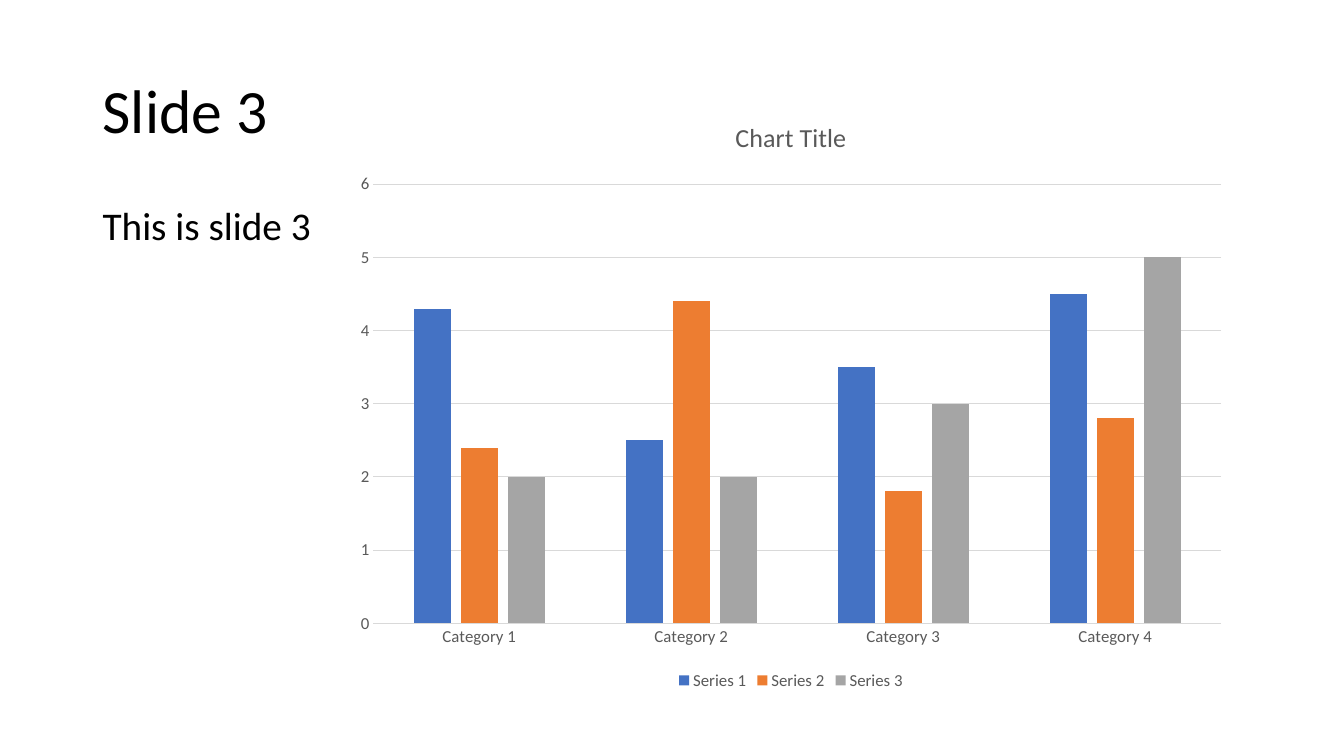
from pptx import Presentation
from pptx.chart.data import CategoryChartData
from pptx.dml.color import RGBColor
from pptx.enum import chart as ch, text
from pptx.util import Inches, Pt

FONT = "Calibri"
BLACK = RGBColor(0x00, 0x00, 0x00)
GRAY_TEXT = RGBColor(0x59, 0x59, 0x59)
GRAY_LINE = RGBColor(0xD9, 0xD9, 0xD9)
BLUE = RGBColor(0x44, 0x72, 0xC4)
ORANGE = RGBColor(0xED, 0x7D, 0x31)
GRAY = RGBColor(0xA5, 0xA5, 0xA5)

CATEGORIES = ["Category 1", "Category 2", "Category 3", "Category 4"]
SERIES = [
    ("Series 1", (4.3, 2.5, 3.5, 4.5), BLUE),
    ("Series 2", (2.4, 4.4, 1.8, 2.8), ORANGE),
    ("Series 3", (2, 2, 3, 5), GRAY),
]


def style_font(font, size, color):
    font.name = FONT
    font.size = Pt(size)
    font.bold = False
    font.color.rgb = color


def style_line(line):
    line.color.rgb = GRAY_LINE
    line.width = Pt(0.75)


def add_text(slide, box, content, size, anchor):
    sp = slide.shapes.add_textbox(*map(Inches, box))
    tf = sp.text_frame
    tf.word_wrap = True
    tf.vertical_anchor = anchor
    tf.text = content
    p = tf.paragraphs[0]
    p.line_spacing = 0.9
    style_font(p.runs[0].font, size, BLACK)


def add_column_chart(slide, box):
    data = CategoryChartData()
    data.categories = CATEGORIES
    for name, values, _ in SERIES:
        data.add_series(name, values)
    chart = slide.shapes.add_chart(
        ch.XL_CHART_TYPE.COLUMN_CLUSTERED, *map(Inches, box), data).chart
    style_font(chart.font, 10, BLACK)

    # Title and legend
    chart.has_title = True
    tf = chart.chart_title.text_frame
    tf.text = "Chart Title"
    style_font(tf.paragraphs[0].runs[0].font, 18.6, GRAY_TEXT)
    chart.chart_title.include_in_layout = False
    chart.has_legend = True
    chart.legend.position = ch.XL_LEGEND_POSITION.BOTTOM
    chart.legend.include_in_layout = False
    style_font(chart.legend.font, 12, GRAY_TEXT)

    # Axes
    for axis in (chart.category_axis, chart.value_axis):
        axis.major_tick_mark = ch.XL_TICK_MARK.NONE
        axis.minor_tick_mark = ch.XL_TICK_MARK.NONE
        style_font(axis.tick_labels.font, 12, GRAY_TEXT)
    style_line(chart.category_axis.format.line)
    value_axis = chart.value_axis
    value_axis.minimum_scale = 0
    value_axis.maximum_scale = 6
    value_axis.major_unit = 1
    value_axis.format.line.fill.background()
    style_line(value_axis.major_gridlines.format.line)

    # Columns
    plot = chart.plots[0]
    plot.gap_width = 219
    plot.overlap = -27
    plot.vary_by_categories = False
    for series, (_, _, color) in zip(plot.series, SERIES):
        series.format.fill.solid()
        series.format.fill.fore_color.rgb = color


def main():
    prs = Presentation()
    prs.slide_width = Inches(13.33)
    prs.slide_height = Inches(7.5)
    slide = prs.slides.add_slide(prs.slide_layouts[6])
    add_text(slide, (0.92, 0.4, 11.5, 1.45), "Slide 3", 44,
             text.MSO_ANCHOR.MIDDLE)
    add_column_chart(slide, (3.4, 0.96, 8.89, 5.93))
    add_text(slide, (0.92, 2, 11.5, 4.76), "This is slide 3", 28,
             text.MSO_ANCHOR.TOP)
    prs.save("out.pptx")


if __name__ == "__main__":
    main()
